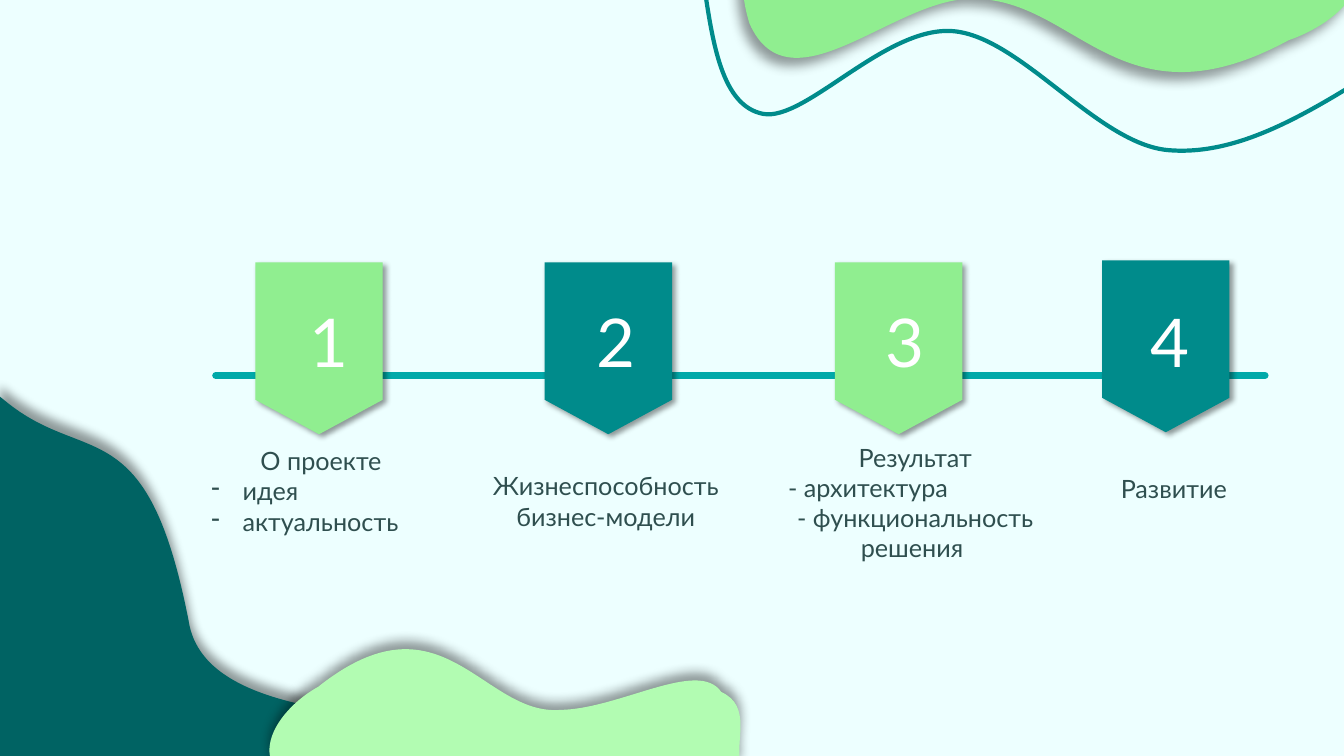
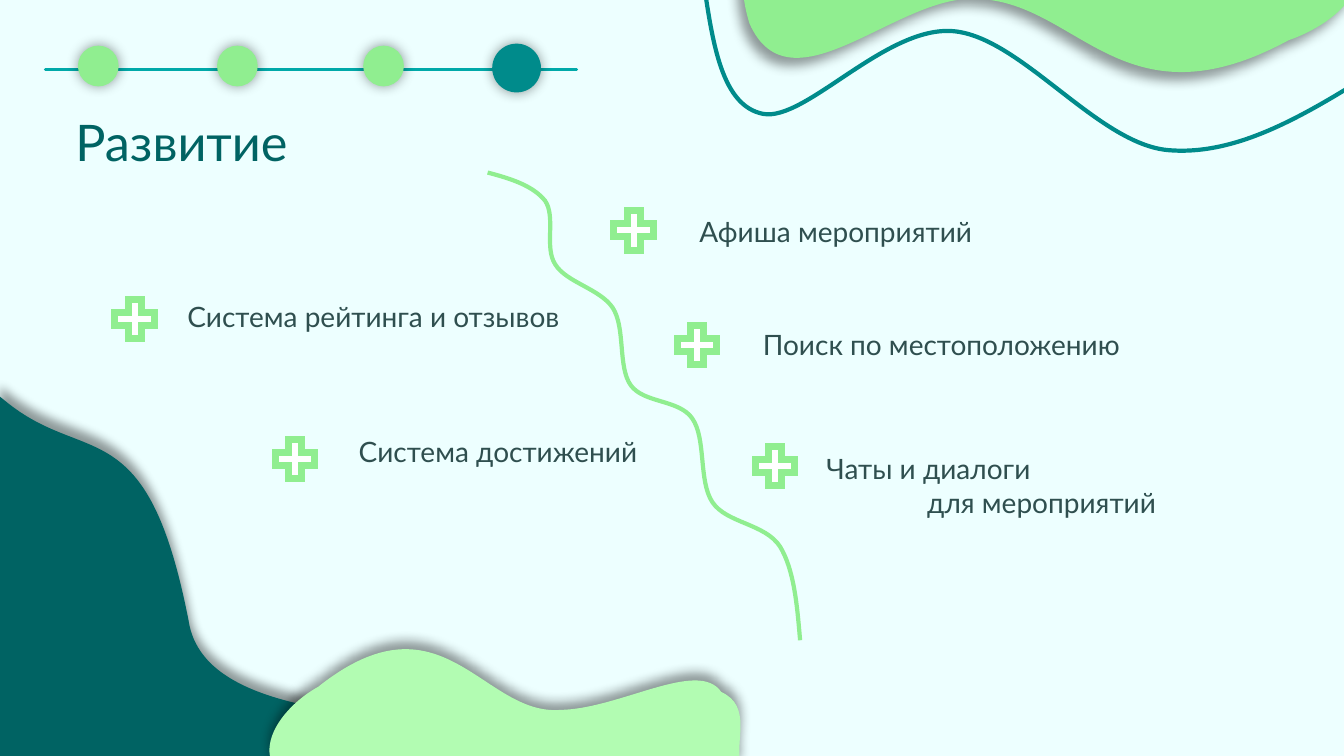
import math
from typing import NamedTuple, Optional

from lxml import etree
from pptx import Presentation
from pptx import util as u
from pptx.dml.color import RGBColor
from pptx.enum import shapes, text
from pptx.oxml.ns import qn

# Grid: square cells of a tenth of an inch
CELL = u.Inches(0.1)
COLUMNS, ROWS = 133.33, 75

# Palette and type
ICE = RGBColor(0xED, 0xFF, 0xFF)
WHITE = RGBColor(0xFF, 0xFF, 0xFF)
SLATE = RGBColor(0x2F, 0x4F, 0x4F)
DEEP_TEAL = RGBColor(0x00, 0x63, 0x63)
TEAL = RGBColor(0x00, 0x8B, 0x8B)
AQUA = RGBColor(0x00, 0xA9, 0xA9)
GREEN = RGBColor(0x90, 0xEE, 0x90)
MINT = RGBColor(0xB2, 0xFC, 0xB2)
FONT = "Lato"
CENTER = text.PP_ALIGN.CENTER


class Shadow(NamedTuple):
    blur: float
    distance: float
    angle: int


class Outline(NamedTuple):
    """Segments hold one point (straight) or three points (Bezier)."""
    start: tuple
    segments: tuple
    line: RGBColor
    weight: float
    fill: Optional[RGBColor] = None
    shadow: Optional[Shadow] = None
    rotation: float = 0
    pivot: tuple = (0, 0)


class Para(NamedTuple):
    words: str
    align: Optional[text.PP_ALIGN] = None
    indent: float = 0
    bullet: str = ""


class Label(NamedTuple):
    left: float
    top: float
    width: float
    height: float
    paras: tuple


class Step(NamedTuple):
    left: float
    top: float
    number_left: float
    color: RGBColor


class Marker(NamedTuple):
    left: float
    top: float
    size: float
    color: RGBColor


class Feature(NamedTuple):
    plus_left: float
    plus_top: float
    label: Label


# Shared decoration
DECORATION = (
    Outline((0.3, 40), ((8.4, 46.7, 14.3, 40.7, 18.4, 61.6),
                        (20.4, 75, 52.7, 70, 66.7, 75), (0, 75),
                        (0.1, 63.4, 0.2, 51.8, 0.3, 40)),
            DEEP_TEAL, 4.5, DEEP_TEAL, Shadow(7, 7, 270)),
    Outline((30.7, 78.7), ((73.4, 75.9), (72.8, 73.5, 74.6, 70.1, 71.5, 68.7),
                           (69.3, 65.4, 61.5, 70.4, 55.6, 70.5),
                           (47.8, 71.1, 43.9, 58.4, 31.6, 68.2),
                           (27.9, 70.2, 23.4, 75.8, 30.7, 78.7)),
            MINT, 1, MINT, Shadow(8, 6, 270)),
    Outline((133.5, -0.7), ((77.5, -1.1), (78.2, 1.3, 76.9, 3.6, 78.3, 8.1),
                            (82.3, 17, 92.8, 5.3, 100.5, 5.6),
                            (110.8, 5.6, 115.1, 18.7, 131.7, 9.7),
                            (136.7, 8, 142.8, 2.7, 133.5, -0.7)),
            GREEN, 1, GREEN, Shadow(8, 7, 135), 183.3, (107.7, 5.3)),
    Outline((69.8, -1.8), ((70.7, 4.3, 71.6, 10.5, 75.7, 11.3),
                           (79.9, 12.1, 87.9, 2.5, 94.6, 3.1),
                           (101.3, 3.7, 108.9, 14.3, 115.9, 14.9),
                           (122.9, 15.5, 129.8, 11.2, 136.7, 6.9)),
            TEAL, 3),
)

# Contents slide
STEP_SHADOW = Shadow(4, 3, 45)
STEPS = (Step(25.4, 26.1, 29.7, GREEN), Step(54.1, 26.1, 58.2, TEAL),
         Step(82.9, 26.1, 86.9, GREEN), Step(109.4, 25.9, 113.15, TEAL))
STEP_LABELS = (
    Label(20, 43.7, 23.7, 10.1, (Para("О проекте", CENTER), Para("идея", indent=3.1, bullet="-"),
                                 Para("актуальность", indent=3.1, bullet="-"))),
    Label(44.4, 46.2, 31.4, 7.1, (Para("Жизнеспособность бизнес-модели", CENTER),)),
    Label(77.2, 43.35, 27.2, 16.2, (Para("Результат", CENTER), Para("- архитектура"),
                                    Para("- функциональность решения ", CENTER))),
    Label(110.2, 46.5, 14.5, 4, (Para("Развитие"),)),
)

# Development slide
MARKER_SHADOW = Shadow(9, 0, 0)
MARKERS = (Marker(7.8, 4.6, 3.9, GREEN), Marker(21.6, 4.6, 3.9, GREEN),
           Marker(36.1, 4.6, 3.9, GREEN), Marker(48.9, 4.4, 4.7, TEAL))
TITLE = Label(6.5, 10.5, 32, 7.1, (Para("Развитие"),))
FEATURES = (
    Feature(11.4, 29.7, Label(17.6, 29.2, 41.1, 4.4, (Para("Система рейтинга и отзывов"),))),
    Feature(27.3, 43.6, Label(34.6, 42.6, 32.1, 4.4, (Para("Система достижений"),))),
    Feature(60.9, 20.9, Label(68.4, 20.75, 29.6, 4.4, (Para("Афиша мероприятий"),))),
    Feature(67.2, 32.3, Label(74.7, 32, 41.3, 4.4, (Para("Поиск по местоположению"),))),
    Feature(74.9, 44.3, Label(81, 44.3, 36.9, 7.7,
                              (Para("Чаты и диалоги"), Para("для мероприятий", indent=10)))),
)
DIVIDER = Outline((48.4, 17.2), ((50.7, 17.8, 52.9, 18.5, 54.1, 20),
                                 (55.2, 21.6, 54, 24.6, 55.1, 26.3),
                                 (56.2, 28.1, 59.5, 28.7, 60.8, 30.6),
                                 (62.1, 32.6, 61.3, 36.5, 62.6, 38.3),
                                 (63.9, 40.1, 67.4, 39.7, 68.7, 41.6),
                                 (70.1, 43.6, 69.3, 47.8, 70.7, 49.9),
                                 (72.1, 52, 75.9, 52, 77.4, 54.3),
                                 (78.8, 56.6, 79.1, 60.1, 79.4, 63.6)),
                  GREEN, 3, rotation=56, pivot=(65.2, 39.45))


def grid(cells: float) -> int:
    return round(cells * CELL)


def style(shape, fill: Optional[RGBColor], line: RGBColor, weight: float,
          shadow: Optional[Shadow] = None) -> None:
    if fill is None:
        shape.fill.background()
    else:
        shape.fill.solid()
        shape.fill.fore_color.rgb = fill
    shape.line.color.rgb = line
    shape.line.width = u.Pt(weight)
    etree.SubElement(shape.line._get_or_add_ln(), qn("a:miter"), lim="800000")
    shape.shadow.inherit = False
    if shadow:
        effects = shape._element.spPr.find(qn("a:effectLst"))
        outer = etree.SubElement(effects, qn("a:outerShdw"), blurRad=str(u.Pt(shadow.blur)),
                                 dist=str(u.Pt(shadow.distance)), dir=str(shadow.angle * 60000),
                                 algn="ctr", rotWithShape="0")
        black = etree.SubElement(outer, qn("a:srgbClr"), val="000000")
        etree.SubElement(black, qn("a:alpha"), val="40000")


def turn_back(point: tuple, pivot: tuple, degrees: float) -> tuple:
    """Place a point as it lies before its shape is rotated."""
    angle = math.radians(-degrees)
    dx, dy = point[0] - pivot[0], point[1] - pivot[1]
    return (grid(pivot[0] + dx * math.cos(angle) - dy * math.sin(angle)),
            grid(pivot[1] + dx * math.sin(angle) + dy * math.cos(angle)))


def draw_outline(slide, outline: Outline) -> None:
    points = [turn_back(point, outline.pivot, outline.rotation)
              for segment in (outline.start, *outline.segments)
              for point in zip(segment[::2], segment[1::2])]
    builder = slide.shapes.build_freeform(*points[0])
    builder.add_line_segments(points[1:], close=outline.fill is not None)
    shape = builder.convert_to_shape()
    # Gather the control points of each curve into one Bezier command
    straight = iter(list(shape._element.iter(qn("a:lnTo"))))
    for segment in outline.segments:
        commands = [next(straight) for _ in segment[::2]]
        if len(commands) == 3:
            curve = etree.Element(qn("a:cubicBezTo"))
            commands[0].addprevious(curve)
            for command in commands:
                curve.append(command[0])
                command.getparent().remove(command)
    shape.rotation = outline.rotation
    style(shape, outline.fill, outline.line, outline.weight, outline.shadow)


def draw_preset(slide, kind, left: float, top: float, width: float, height: float):
    return slide.shapes.add_shape(kind, *map(grid, (left, top, width, height)))


def draw_axis(slide, left: float, right: float, top: float, weight: float) -> None:
    axis = slide.shapes.add_connector(shapes.MSO_CONNECTOR.STRAIGHT,
                                      *map(grid, (left, top, right, top)))
    axis.line.color.rgb = AQUA
    axis.line.width = u.Pt(weight)
    axis.line._get_or_add_ln().set("cap", "rnd")
    etree.SubElement(axis._element.spPr, qn("a:effectLst"))


def draw_label(slide, label: Label, size: float, color: RGBColor = SLATE) -> None:
    frame = slide.shapes.add_textbox(*map(grid, label[:4])).text_frame
    frame.word_wrap = True
    frame.auto_size = text.MSO_AUTO_SIZE.SHAPE_TO_FIT_TEXT
    for index, para in enumerate(label.paras):
        paragraph = frame.add_paragraph() if index else frame.paragraphs[0]
        paragraph.text = para.words
        paragraph.alignment = para.align
        paragraph.font.name = FONT
        paragraph.font.size = u.Pt(size)
        paragraph.font.color.rgb = color
        properties = paragraph._p.get_or_add_pPr()
        if para.indent:
            properties.set("marL", str(grid(para.indent)))
        if para.bullet:
            properties.set("indent", str(-grid(para.indent)))
            properties.insert(0, etree.Element(qn("a:buChar"), char=para.bullet))


def add_decorated_slide(deck):
    slide = deck.slides.add_slide(deck.slide_layouts[6])
    slide.background.fill.solid()
    slide.background.fill.fore_color.rgb = ICE
    for outline in DECORATION:
        draw_outline(slide, outline)
    return slide


def build_contents(deck) -> None:
    slide = add_decorated_slide(deck)
    draw_axis(slide, 21.4, 125.5, 37.25, 5)
    for number, step in enumerate(STEPS, 1):
        flag = draw_preset(slide, shapes.MSO_SHAPE.FLOWCHART_OFFPAGE_CONNECTOR,
                           step.left, step.top, 12.5, 16.9)
        style(flag, step.color, step.color, 1, STEP_SHADOW)
        draw_label(slide, Label(step.number_left, 29.3, 3.9, 9.1, (Para(str(number)),)), 48, WHITE)
    for label in STEP_LABELS:
        draw_label(slide, label, 18)


def build_development(deck) -> None:
    slide = add_decorated_slide(deck)
    draw_axis(slide, 4.5, 57.2, 6.9, 2.25)
    for marker in MARKERS:
        dot = draw_preset(slide, shapes.MSO_SHAPE.OVAL, marker.left, marker.top,
                          marker.size, marker.size)
        style(dot, marker.color, marker.color, 1, MARKER_SHADOW)
    draw_label(slide, TITLE, 36, DEEP_TEAL)
    draw_outline(slide, DIVIDER)
    for feature in FEATURES:
        plus = draw_preset(slide, shapes.MSO_SHAPE.CROSS, feature.plus_left, feature.plus_top,
                           3.9, 3.9)
        plus.adjustments[0] = 0.335
        style(plus, WHITE, GREEN, 5)
        draw_label(slide, feature.label, 20)


def main() -> None:
    deck = Presentation()
    deck.slide_width, deck.slide_height = grid(COLUMNS), grid(ROWS)
    build_contents(deck)
    build_development(deck)
    deck.save("out.pptx")


if __name__ == "__main__":
    main()
